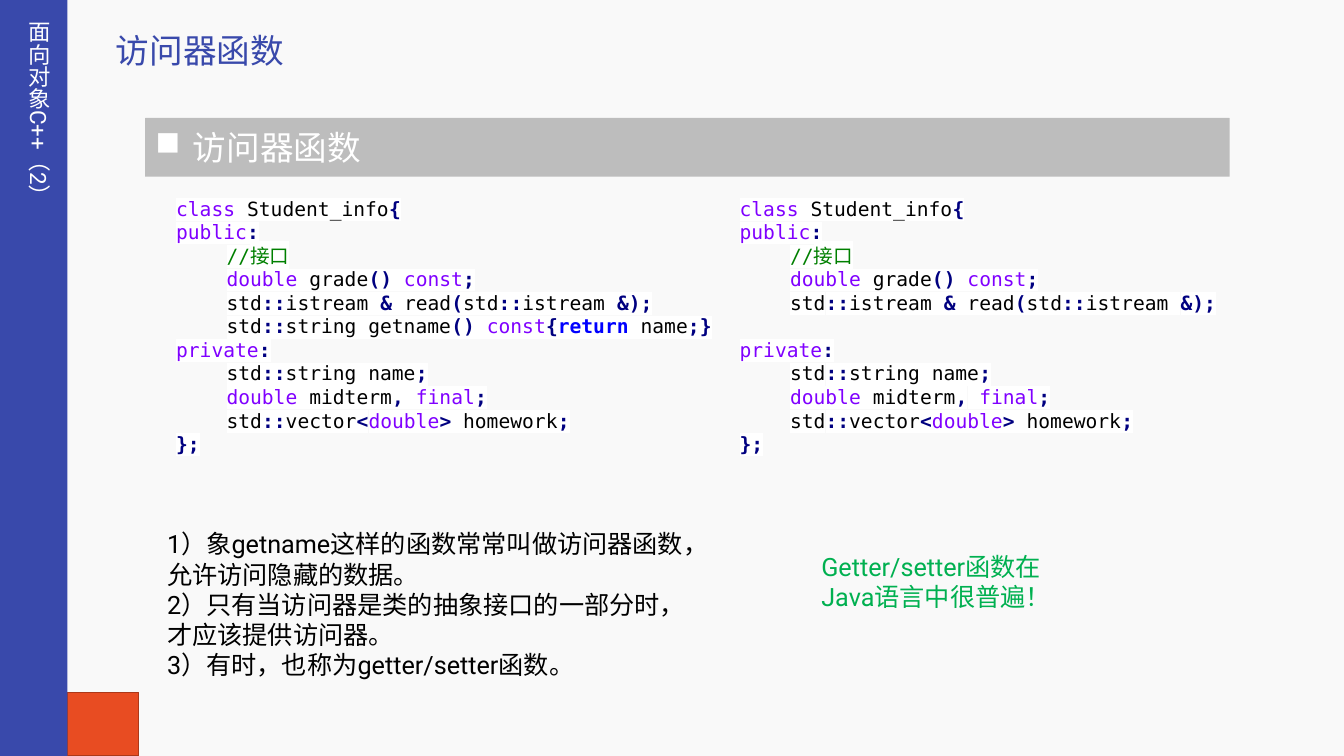
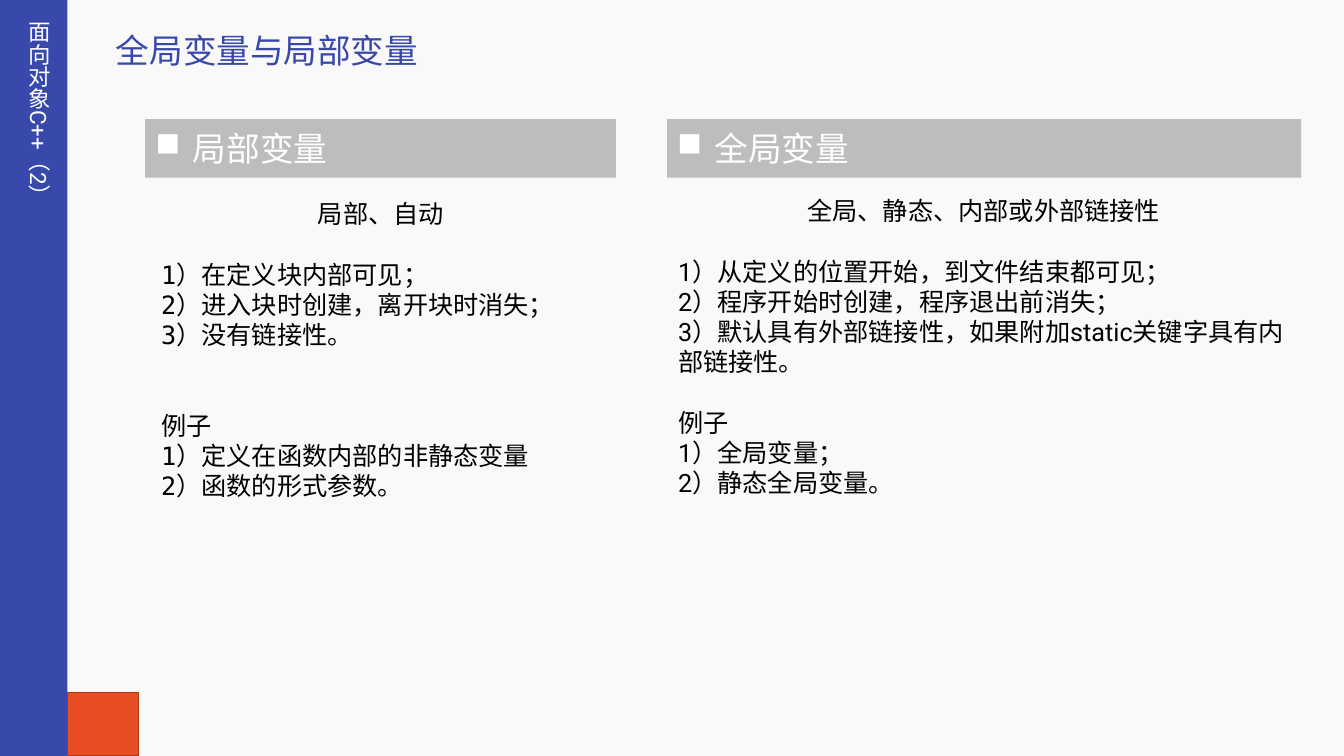
from dataclasses import dataclass
from itertools import groupby
from typing import Any, NamedTuple

from lxml import etree
from pptx import Presentation
from pptx.dml.color import RGBColor
from pptx.enum.shapes import MSO_SHAPE
from pptx.enum.text import MSO_ANCHOR, PP_ALIGN
from pptx.oxml.ns import qn
from pptx.util import Cm, Pt

RECTANGLE = MSO_SHAPE.RECTANGLE
ROUNDED_TOP = MSO_SHAPE.ROUND_2_SAME_RECTANGLE
LEFT, CENTER = PP_ALIGN.LEFT, PP_ALIGN.CENTER
MIDDLE = MSO_ANCHOR.MIDDLE


@dataclass(frozen=True)
class Theme:
    background: str = "F9F9F9"
    primary: str = "3949AB"
    accent: str = "E84C22"
    accent_line: str = "AC3819"
    bar: str = "BDBDBD"
    white: str = "FFFFFF"
    black: str = "000000"
    remark: str = "00B050"
    keyword: str = "8000FF"
    symbol: str = "000080"
    statement: str = "0000FF"
    comment: str = "008000"
    sans: str = "Roboto"
    mono: str = "DejaVu Sans Mono"
    chinese: str = "Noto Sans CJK SC"
    heading_size: int = 24
    body_size: int = 18
    sidebar_size: int = 16
    code_size: int = 14
    line_factor: float = 1.2


THEME = Theme()


class Box(NamedTuple):
    """Left, top, width and height in centimetres."""
    left: float
    top: float
    width: float
    height: float

    def lengths(self) -> list[Cm]:
        return [Cm(value) for value in self]


class TextStyle(NamedTuple):
    font: str
    size: int
    color: str


class TokenStyle(NamedTuple):
    color: str
    bold: bool = False


class Bar(NamedTuple):
    text: str
    box: Box


class Body(NamedTuple):
    text: str
    box: Box
    style: TextStyle
    centered_lines: int = 0


HEADING = TextStyle(THEME.sans, THEME.heading_size, THEME.primary)
SIDEBAR = TextStyle(THEME.sans, THEME.sidebar_size, THEME.white)
BAR = TextStyle(THEME.chinese, THEME.heading_size, THEME.white)
BODY = TextStyle(THEME.sans, THEME.body_size, THEME.black)
MONO_BODY = BODY._replace(font=THEME.mono)
REMARK = BODY._replace(color=THEME.remark)
CODE = TextStyle(THEME.mono, THEME.code_size, THEME.black)

SIDEBAR_BOX = Box(0, 0, 1.7, 19.05)
SIDEBAR_TEXT_BOX = Box(0.25, 0.28, 1.2, 5.08)
CORNER_BOX = Box(1.7, 17.45, 1.8, 1.6)

KEYWORDS = {"class", "public", "private", "double", "const", "final"}
CLASS_START = """class Student_info{
public:
\t//接口
\tdouble grade() const;
\tstd::istream & read(std::istream &);
"""
GETTER = "\tstd::string getname() const{return name;}"
CLASS_END = """
private:
\tstd::string name;
\tdouble midterm, final;
\tstd::vector<double> homework;
};"""

ACCESSOR_BARS = [Bar("访问器函数", Box(3.66, 2.97, 27.33, 1.48))]
ACCESSOR_CODE = [
    (CLASS_START + GETTER + CLASS_END, Box(4.19, 4.83, 14.27, 6.83)),
    (CLASS_START + CLASS_END, Box(18.39, 4.83, 13.06, 6.83)),
]
ACCESSOR_BODIES = [
    Body("""1）象getname这样的函数常常叫做访问器函数，允许访问隐藏的数据。
2）只有当访问器是类的抽象接口的一部分时，才应该提供访问器。
3）有时，也称为getter/setter函数。""", Box(3.96, 13.2, 14.1, 4.1), BODY),
    Body("Getter/setter函数在Java语言中很普遍！", Box(20.45, 13.77, 6.35, 1.8), REMARK),
]
VARIABLE_BARS = [
    Bar("局部变量", Box(3.66, 3, 11.86, 1.48)),
    Bar("全局变量", Box(16.81, 3, 15.98, 1.48)),
]
VARIABLE_BODIES = [
    Body("""局部、自动

1）在定义块内部可见；
2）进入块时创建，离开块时消失；
3）没有链接性。


例子
1）定义在函数内部的非静态变量
2）函数的形式参数。""", Box(3.81, 4.88, 11.58, 7.95), MONO_BODY, 1),
    Body("""全局、静态、内部或外部链接性

1）从定义的位置开始，到文件结束都可见；
2）程序开始时创建，程序退出前消失；
3）默认具有外部链接性，如果附加static关键字具有内部链接性。

例子
1）全局变量；
2）静态全局变量。""", Box(16.84, 4.8, 15.9, 7.95), BODY, 1),
]


def rgb(color: str) -> RGBColor:
    return RGBColor.from_string(color)


def apply_format(target: Any, values: dict[str, Any]) -> None:
    for name, value in values.items():
        setattr(target, name, value)


def add_run(paragraph: Any, text: str, style: TextStyle, bold: bool = False) -> Any:
    run = paragraph.add_run()
    run.text = text
    apply_format(run.font, {"name": style.font, "size": Pt(style.size), "bold": bold})
    run.font.color.rgb = rgb(style.color)
    return run


def add_paragraphs(frame: Any, text: str, size: int) -> list[tuple[Any, str]]:
    """Make a paragraph per line of text; blank lines become space before the next."""
    line_height = size * THEME.line_factor
    result = []
    blank_lines = 0
    for line in text.split("\n"):
        if not line:
            blank_lines += 1
            continue
        paragraph = frame.add_paragraph() if result else frame.paragraphs[0]
        apply_format(paragraph, {
            "line_spacing": Pt(line_height),
            "space_before": Pt(blank_lines * line_height),
            "alignment": LEFT,
        })
        result.append((paragraph, line))
        blank_lines = 0
    return result


def add_text(slide: Any, body: Body, wrap: bool = True) -> Any:
    frame = slide.shapes.add_textbox(*body.box.lengths()).text_frame
    frame.word_wrap = wrap
    paragraphs = add_paragraphs(frame, body.text, body.style.size)
    for index, (paragraph, line) in enumerate(paragraphs):
        if index < body.centered_lines:
            paragraph.alignment = CENTER
        add_run(paragraph, line, body.style)
    return frame


def character_kind(character: str) -> str:
    if character.isspace():
        return "space"
    return "word" if character.isalnum() or character == "_" else "symbol"


def token_style(kind: str, token: str) -> TokenStyle:
    if kind == "symbol":
        return TokenStyle(THEME.symbol, True)
    if token == "return":
        return TokenStyle(THEME.statement, True)
    return TokenStyle(THEME.keyword if token in KEYWORDS else THEME.black)


def styled_tokens(line: str) -> list[tuple[TokenStyle, str]]:
    if line.lstrip().startswith("//"):
        return [(TokenStyle(THEME.comment), line)]
    tokens = []
    for kind, characters in groupby(line, character_kind):
        token = "".join(characters)
        tokens.append((token_style(kind, token), token))
    return [(style, "".join(token for _, token in group))
            for style, group in groupby(tokens, lambda item: item[0])]


def highlight(run: Any, color: str) -> None:
    fill = run.font._element.find(qn("a:solidFill"))
    element = etree.Element(qn("a:highlight"))
    etree.SubElement(element, qn("a:srgbClr"), val=color)
    fill.addnext(element)


def add_code(slide: Any, code: str, box: Box) -> None:
    frame = slide.shapes.add_textbox(*box.lengths()).text_frame
    frame.word_wrap = True
    for paragraph, line in add_paragraphs(frame, code, CODE.size):
        for style, token in styled_tokens(line):
            run = add_run(paragraph, token, CODE._replace(color=style.color), style.bold)
            highlight(run, THEME.white)


def add_filled_shape(slide: Any, kind: Any, box: Box, color: str, line: str = "") -> Any:
    shape = slide.shapes.add_shape(kind, *box.lengths())
    shape.shadow.inherit = False
    shape.fill.solid()
    shape.fill.fore_color.rgb = rgb(color)
    if line:
        shape.line.color.rgb = rgb(line)
        shape.line.width = Pt(1)
    else:
        shape.line.fill.background()
    return shape


def add_bar(slide: Any, bar: Bar) -> None:
    shape = add_filled_shape(slide, ROUNDED_TOP, bar.box, THEME.bar)
    shape.adjustments[0] = 0.01
    frame = shape.text_frame
    apply_format(frame, {"vertical_anchor": MIDDLE, "word_wrap": True})
    for paragraph, line in add_paragraphs(frame, bar.text, BAR.size):
        properties = paragraph._p.get_or_add_pPr()
        indent = Cm(0.95)
        properties.set("marL", str(indent))
        properties.set("indent", str(-indent))
        etree.SubElement(properties, qn("a:buChar"), char="■")
        add_run(paragraph, line, BAR)


def add_course_slide(presentation: Any, title: str, bars: list[Bar], bodies: list[Body]) -> Any:
    slide = presentation.slides.add_slide(presentation.slide_layouts[6])
    add_filled_shape(slide, RECTANGLE, CORNER_BOX, THEME.accent, THEME.accent_line)
    title_box = Box(2.67, 0.64, 0.53 + 0.85 * len(title), 1.27)
    add_text(slide, Body(title, title_box, HEADING), wrap=False)
    add_filled_shape(slide, RECTANGLE, SIDEBAR_BOX, THEME.primary)
    sidebar = add_text(slide, Body("面向对象C++（2）", SIDEBAR_TEXT_BOX, SIDEBAR), wrap=False)
    sidebar._txBody.bodyPr.set("vert", "eaVert")
    for bar in bars:
        add_bar(slide, bar)
    for body in bodies:
        add_text(slide, body)
    return slide


def main() -> None:
    presentation = Presentation()
    apply_format(presentation, {"slide_width": Cm(33.87), "slide_height": Cm(19.05)})
    background = presentation.slide_master.background.fill
    background.solid()
    background.fore_color.rgb = rgb(THEME.background)

    accessor_slide = add_course_slide(presentation, "访问器函数", ACCESSOR_BARS, ACCESSOR_BODIES)
    for code, box in ACCESSOR_CODE:
        add_code(accessor_slide, code, box)
    add_course_slide(presentation, "全局变量与局部变量", VARIABLE_BARS, VARIABLE_BODIES)
    presentation.save("out.pptx")


if __name__ == "__main__":
    main()
